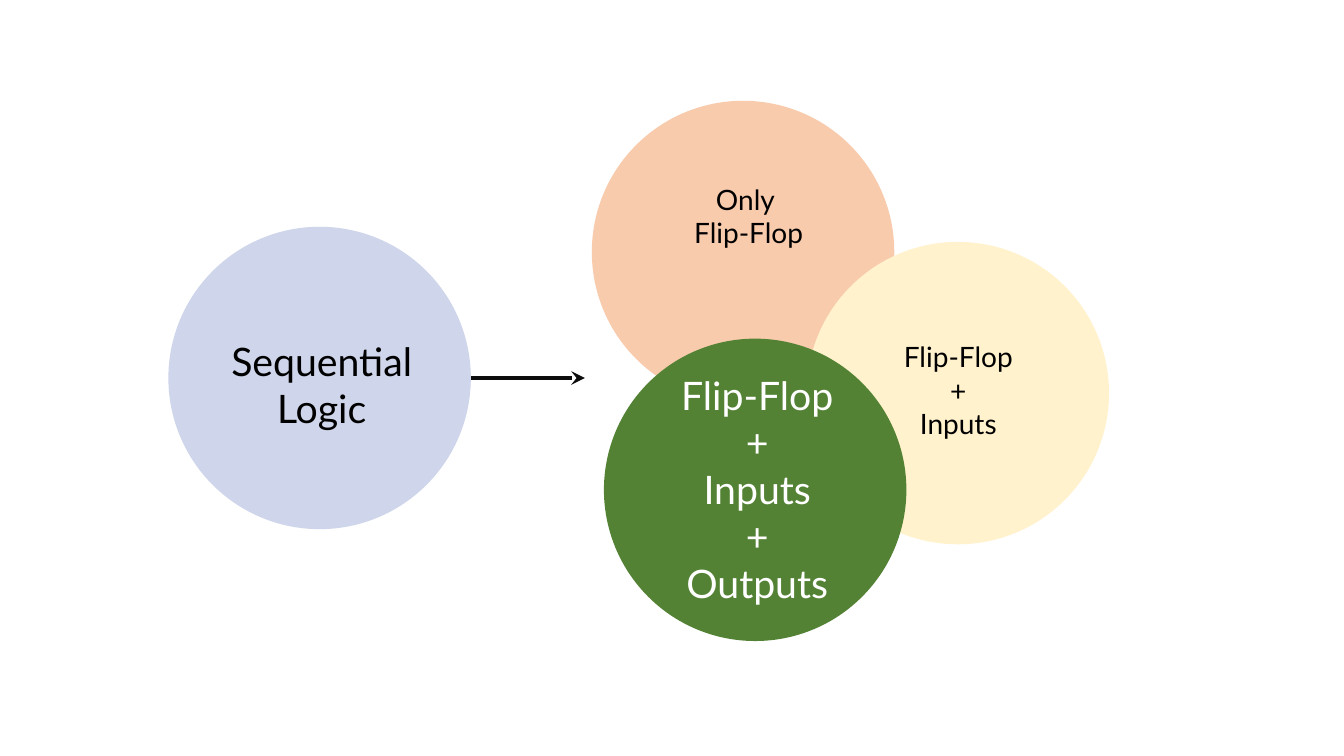
from dataclasses import dataclass

from lxml.etree import SubElement
from pptx import Presentation
from pptx.dml.color import RGBColor
from pptx.enum.shapes import MSO_CONNECTOR, MSO_SHAPE
from pptx.enum.text import MSO_ANCHOR, PP_ALIGN
from pptx.oxml.ns import qn
from pptx.util import Emu, Pt


@dataclass(frozen=True)
class Theme:
    font: str = "Lato"
    small: int = 20
    large: int = 28
    blue: str = "CFD5EA"
    orange: str = "F8CBAD"
    yellow: str = "FFF2CC"
    green: str = "548235"
    dark: str = "000000"
    light: str = "FFFFFF"
    arrow: str = "0D0D0D"


theme = Theme()
DIAMETER = 300


def px(length):
    """100 px to the inch."""
    return Emu(length * 9144)


deck = Presentation()
deck.slide_width, deck.slide_height = px(1333), px(750)
page = deck.slides.add_slide(deck.slide_layouts[6])

# Circles from back to front: left, top, fill, label box, size, colour, lines
circles = [
    (587, 100, theme.orange, (678, 176, 129, 77), theme.small, theme.dark,
     ["Only ", "Flip-Flop"]),
    (167, 225, theme.blue, (218, 330, 202, 104), theme.large, theme.dark,
     ["Sequential", "Logic"]),
    (800, 240, theme.yellow, (886, 332, 129, 111), theme.small, theme.dark,
     ["Flip-Flop", "+", "Inputs"]),
    (599, 336, theme.green, (665, 363, 172, 246), theme.large, theme.light,
     ["Flip-Flop", "+", "Inputs", "+", "Outputs"]),
]
for left, top, fill, label_area, size, colour, lines in circles:
    circle = page.shapes.add_shape(
        MSO_SHAPE.OVAL, px(left), px(top), px(DIAMETER), px(DIAMETER))
    circle.shadow.inherit = False
    circle.fill.solid()
    circle.fill.fore_color.rgb = RGBColor.from_string(fill)
    circle.line.fill.background()

    # Label of the circle
    box = page.shapes.add_textbox(*map(px, label_area))
    frame = box.text_frame
    frame.word_wrap = False
    frame.vertical_anchor = MSO_ANCHOR.TOP
    for number, line in enumerate(lines):
        para = frame.add_paragraph() if number else frame.paragraphs[0]
        para.alignment = PP_ALIGN.CENTER
        span = para.add_run()
        span.text = line
        span.font.name = theme.font
        span.font.size = Pt(size)
        span.font.color.rgb = RGBColor.from_string(colour)

# Arrow from sequential logic to its three kinds
arrow = page.shapes.add_connector(
    MSO_CONNECTOR.STRAIGHT, px(467), px(375), px(580), px(375))
arrow.line.width = Pt(3.25)
arrow.line.color.rgb = RGBColor.from_string(theme.arrow)
properties = arrow.line.color and arrow._element.spPr
SubElement(properties.find(qn("a:ln")), qn("a:tailEnd"), type="stealth")
SubElement(properties, qn("a:effectLst"))

deck.save("out.pptx")
